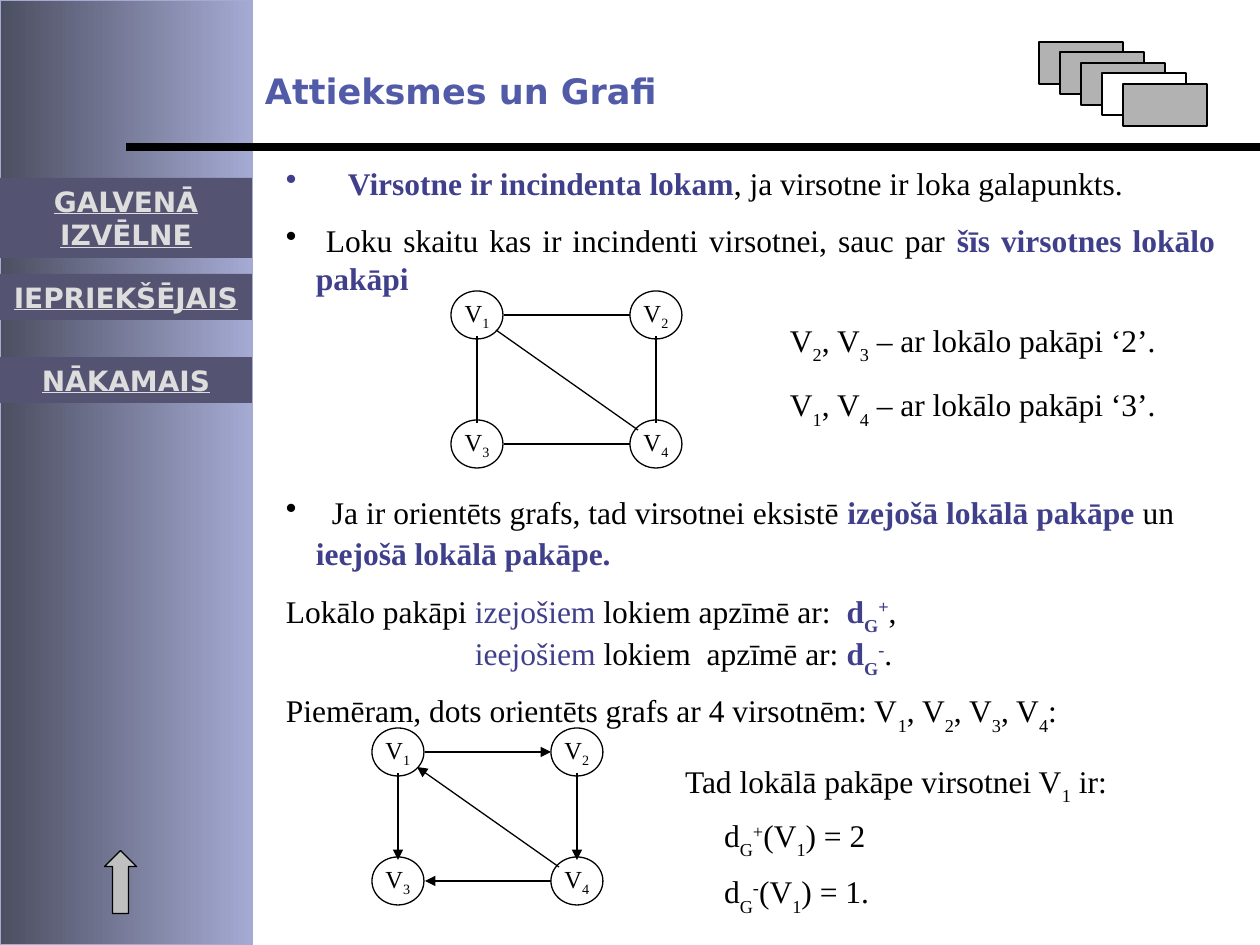
from lxml import etree
from pptx import Presentation
from pptx import util as u
from pptx.dml.color import RGBColor
from pptx.enum import shapes, text
from pptx.oxml.ns import qn

SCALE = u.Inches(1) / 126
COLORS = {
    "ink": "000000", "accent": "3F3F8B", "title": "515BA7",
    "lilac": "A5AAD3", "slate": "4C4E61", "button": "545472",
    "label": "DDDDDD", "card": "B2B2B2", "arrow": "C0C0C0", "paper": "FFFFFF",
}
SERIF, SANS = "Times New Roman", "DejaVu Sans"
NODE_W, NODE_H, STEP_X, STEP_Y = 52, 48, 179, 129
# Ends of each edge, measured from the top left corner of its graph
EDGES = {
    (1, 2): (53, 24, STEP_X, 24),
    (1, 3): (26, 45, 26, 132),
    (2, 4): (205, 45, 205, 132),
    (3, 4): (53, 153, STEP_X, 153),
    (1, 4): (45, 39, 187, 139),
}


def px(n):
    return u.Emu(round(n * SCALE))


def rgb(name):
    return RGBColor.from_string(COLORS[name])


def para(*pieces, **layout):
    """Pair text pieces with their layout; a piece is a string or (string, marks)."""
    return [p if isinstance(p, tuple) else (p, "") for p in pieces], layout


def vertices(*numbers):
    """Pieces for a comma separated list of vertices."""
    pieces = []
    for n in numbers:
        pieces += [", V" if pieces else "V", (str(n), "_")]
    return pieces


def degree(sign, marks=""):
    """Pieces for the degree symbol of graph G."""
    return [("d", marks), ("G", marks + "_"), (sign, marks + "^")]


class Canvas:
    """Holds the style and the current slide; marks: * bold, # accent, _ sub, ^ super."""

    def __init__(self, slide):
        self.slide = slide
        self.shapes = slide.shapes

    def style(self, shape, fill=None, line=None, width=0.75):
        shape.shadow.inherit = False
        if fill:
            shape.fill.solid()
            shape.fill.fore_color.rgb = rgb(fill)
        else:
            shape.fill.background()
        if line:
            shape.line.color.rgb = rgb(line)
            shape.line.width = u.Pt(width)
        else:
            shape.line.fill.background()
        return shape

    def shape(self, kind, x, y, w, h, fill=None, line=None, parent=None):
        added = (parent or self.slide).shapes.add_shape(kind, px(x), px(y), px(w), px(h))
        return self.style(added, fill, line)

    def line(self, x1, y1, x2, y2, width=0.75, arrow=False):
        link = self.shapes.add_connector(
            shapes.MSO_CONNECTOR.STRAIGHT, px(x1), px(y1), px(x2), px(y2))
        link.line.color.rgb = rgb("ink")
        link.line.width = u.Pt(width)
        props = link._element.spPr
        if arrow:
            etree.SubElement(props.find(qn("a:ln")), qn("a:tailEnd"), type="triangle")
        etree.SubElement(props, qn("a:effectLst"))

    def fill_text(self, frame, paras, size=18, font=SERIF, color="ink",
                  align=text.PP_ALIGN.JUSTIFY, inset=(13, 6), shift=30):
        frame.word_wrap = True
        frame.margin_left = frame.margin_right = px(inset[0])
        frame.margin_top = frame.margin_bottom = px(inset[1])
        for i, (pieces, layout) in enumerate(paras):
            p = frame.add_paragraph() if i else frame.paragraphs[0]
            p.alignment = align
            self.lay_out(p, **layout)
            if i:
                p.space_before = u.Pt(layout.get("before", 11.2))
            for words, marks in pieces:
                run = p.add_run()
                run.text = words
                run.font.name, run.font.size = font, u.Pt(size)
                run.font.bold = "*" in marks
                run.font.color.rgb = rgb("accent" if "#" in marks else color)
                if "_" in marks or "^" in marks:
                    base = -shift if "_" in marks else shift
                    run.font._element.set("baseline", str(base * 1000))

    def lay_out(self, p, bullet=None, left=0, hang=0, tab=None, spacing=None, before=None):
        props = p._p.get_or_add_pPr()
        props.set("marL", str(px(left)))
        props.set("indent", str(-px(hang)))
        if bullet:
            tint = etree.SubElement(props, qn("a:buClr"))
            etree.SubElement(tint, qn("a:srgbClr"), val=COLORS[bullet])
            etree.SubElement(props, qn("a:buChar"), char="•")
        if tab:
            stops = etree.SubElement(props, qn("a:tabLst"))
            etree.SubElement(stops, qn("a:tab"), pos=str(px(tab)), algn="l")
        if spacing:
            p.line_spacing = spacing

    def text(self, x, y, w, h, *paras, **style):
        box = self.shapes.add_textbox(px(x), px(y), px(w), px(h))
        self.fill_text(box.text_frame, paras, **style)

    def button(self, y, h, label, inset=13):
        plate = self.shape(shapes.MSO_SHAPE.RECTANGLE, 0, y, 252, h, "button")
        frame = plate.text_frame
        frame.vertical_anchor = text.MSO_ANCHOR.MIDDLE
        self.fill_text(frame, [para((label, "*"))], 16, SANS, "label",
                       text.PP_ALIGN.CENTER, (inset, 6))
        frame.paragraphs[0].runs[0].font.underline = True

    def graph(self, x, y, edges, directed=False):
        for a, b in edges:
            x1, y1, x2, y2 = EDGES[min(a, b), max(a, b)]
            if a > b:
                x1, y1, x2, y2 = x2, y2, x1, y1
            self.line(x + x1, y + y1, x + x2, y + y2, arrow=directed)
        for i in range(4):
            node = self.shape(shapes.MSO_SHAPE.OVAL, x + i % 2 * STEP_X,
                              y + i // 2 * STEP_Y, NODE_W, NODE_H, line="ink")
            node.text_frame.vertical_anchor = text.MSO_ANCHOR.MIDDLE
            self.fill_text(node.text_frame, [para(*vertices(i + 1))], 14,
                           align=text.PP_ALIGN.CENTER, inset=(0, 0), shift=25)

    def sidebar(self):
        band = self.shape(shapes.MSO_SHAPE.RECTANGLE, 0, 0, 252, 945, line="lilac")
        band.fill.gradient()
        band.fill.gradient_angle = 0
        for stop, name in zip(band.fill.gradient_stops, ("slate", "lilac")):
            stop.color.rgb = rgb(name)

    def cards(self):
        group = self.shapes.add_group_shape()
        for i in range(5):
            self.shape(shapes.MSO_SHAPE.RECTANGLE, 1039 + 21 * i, 42 + 21 * i // 2,
                       84, 42, "paper" if i == 3 else "card", "ink", group)


def main():
    deck = Presentation()
    deck.slide_width, deck.slide_height = px(1260), px(945)
    c = Canvas(deck.slides.add_slide(deck.slide_layouts[6]))

    c.sidebar()
    c.line(1260, 147, 126, 147, width=4.5)
    c.text(252, 63, 504, 55, para(("Attieksmes un Grafi", "*")), size=20, font=SANS,
           color="title", align=text.PP_ALIGN.LEFT)
    c.cards()
    c.button(178, 80, "GALVENĀ IZVĒLNE")
    c.button(274, 46, "IEPRIEKŠĒJAIS", inset=0)
    c.button(357, 46, "NĀKAMAIS")
    up = c.shape(shapes.MSO_SHAPE.RIGHT_ARROW, 89, 866, 63, 32, "arrow", "ink")
    up.rotation = 270

    c.text(273, 158, 955, 146,
           para(("Virsotne ir incindenta lokam", "*#"), ", ja virsotne ir loka galapunkts.",
                bullet="accent", left=62, hang=62),
           para("\tLoku skaitu kas ir incindenti virsotnei, sauc par ",
                ("šīs virsotnes lokālo pakāpi", "*#"),
                bullet="ink", left=30, hang=30, tab=40))
    c.graph(451, 291, [(1, 2), (1, 3), (2, 4), (3, 4), (1, 4)])
    c.text(777, 315, 400, 122,
           para(*vertices(2, 3), " – ar lokālo pakāpi ‘2’."),
           para(*vertices(1, 4), " – ar lokālo pakāpi ‘3’."))

    c.text(273, 483, 914, 251,
           para("\tJa ir orientēts grafs, tad virsotnei eksistē ",
                ("izejošā lokālā pakāpe ", "*#"), "un ", ("ieejošā lokālā pakāpe.", "*#"),
                bullet="ink", left=30, hang=30, tab=46, spacing=1.1),
           para("Lokālo pakāpi ", ("izejošiem", "#"), " lokiem apzīmē ar:  ",
                *degree("+", "*#"), ",", spacing=0.9),
           para(("ieejošiem", "#"), " lokiem  apzīmē ar: ", *degree("-", "*#"), ".",
                left=189, spacing=0.4),
           para("Piemēram, dots orientēts grafs ar 4 virsotnēm: ",
                *vertices(1, 2, 3, 4), ":", spacing=0.4, before=22.4))
    c.graph(372, 728, [(1, 2), (1, 3), (4, 3), (2, 4), (4, 1)], directed=True)
    c.text(672, 756, 473, 164,
           para("Tad lokālā pakāpe virsotnei ", *vertices(1), " ir:"),
           para(*degree("+"), "(", *vertices(1), ") = 2", left=39, spacing=0.6),
           para(*degree("-"), "(", *vertices(1), ") = 1.", left=39, spacing=0.9))

    deck.save("out.pptx")


if __name__ == "__main__":
    main()
